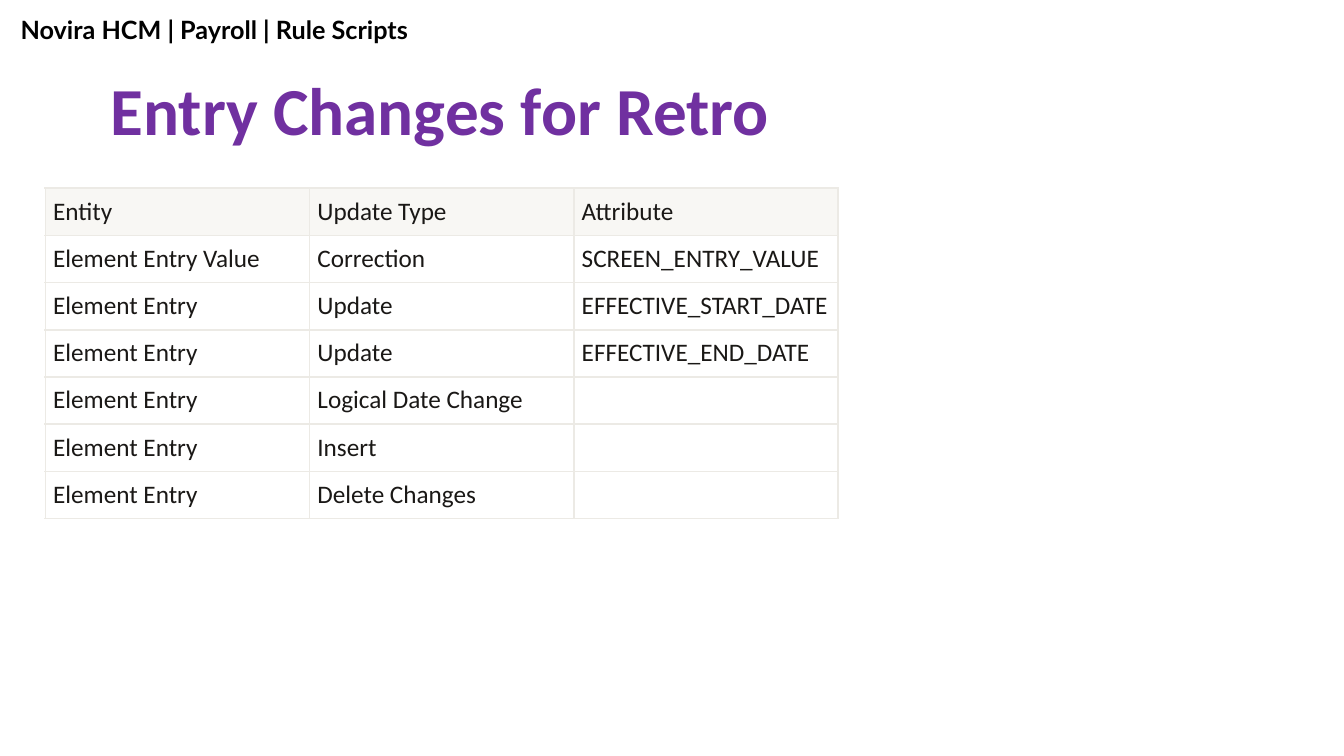
from lxml.etree import SubElement
from pptx import Presentation
from pptx.dml.color import RGBColor
from pptx.enum.text import MSO_ANCHOR as Anchor, PP_ALIGN as Align
from pptx.oxml.ns import qn
from pptx.util import Cm, Pt

BREADCRUMB = "Novira HCM | Payroll | Rule Scripts"
TITLE = "Entry Changes for Retro"
ROWS = [
    ("Entity", "Update Type", "Attribute"),
    ("Element Entry Value", "Correction", "SCREEN_ENTRY_VALUE"),
    ("Element Entry", "Update", "EFFECTIVE_START_DATE"),
    ("Element Entry", "Update", "EFFECTIVE_END_DATE"),
    ("Element Entry", "Logical Date Change", ""),
    ("Element Entry", "Insert", ""),
    ("Element Entry", "Delete Changes", ""),
]
COLORS = {
    "black": "000000",
    "purple": "7030A0",
    "text": "1A1816",
    "header": "F8F7F4",
    "body": "FFFFFF",
    "border": "ECEAE5",
}
COLUMN_WIDTH, ROW_HEIGHT = Cm(6.66), Cm(1.19)
CELL_MARGIN = Cm(0.2)
BORDER_WIDTH = Pt(1.2)


def add_text(frame, text, font, size, color, bold=False):
    paragraph = frame.paragraphs[0]
    paragraph.alignment = Align.LEFT
    run = paragraph.add_run()
    run.text = text
    run.font.name = font
    run.font.size = Pt(size)
    run.font.bold = bold
    run.font.color.rgb = RGBColor.from_string(COLORS[color])


def set_borders(cell):
    properties = cell._tc.get_or_add_tcPr()
    for position, side in enumerate(("a:lnL", "a:lnR", "a:lnT", "a:lnB")):
        line = SubElement(properties, qn(side), w=str(BORDER_WIDTH))
        fill = SubElement(line, qn("a:solidFill"))
        SubElement(fill, qn("a:srgbClr"), val=COLORS["border"])
        properties.insert(position, line)


presentation = Presentation()
presentation.slide_width, presentation.slide_height = Cm(33.87), Cm(19.05)
slide = presentation.slides.add_slide(presentation.slide_layouts[5])

# Title
title = slide.shapes.title
title.left, title.top, title.width, title.height = Cm(2.54), Cm(1.6), Cm(19.81), Cm(2.31)
title.text_frame.vertical_anchor = Anchor.TOP
title.text_frame.word_wrap = True
add_text(title.text_frame, TITLE, "Calibri", 48, "purple", bold=True)

# Breadcrumb above the title
breadcrumb = slide.shapes.add_textbox(Cm(0.27), Cm(0.24), Cm(17.12), Cm(1.02))
breadcrumb.text_frame.word_wrap = True
add_text(breadcrumb.text_frame, BREADCRUMB, "Lato", 18, "black", bold=True)

# Table of entry changes
row_count, column_count = len(ROWS), len(ROWS[0])
table = slide.shapes.add_table(
    row_count, column_count, Cm(1.14), Cm(4.74),
    COLUMN_WIDTH * column_count, ROW_HEIGHT * row_count,
).table
for row_index, values in enumerate(ROWS):
    is_header = row_index == 0
    for column_index, value in enumerate(values):
        cell = table.cell(row_index, column_index)
        cell.margin_left = cell.margin_right = CELL_MARGIN
        cell.margin_top = cell.margin_bottom = CELL_MARGIN
        cell.vertical_anchor = Anchor.BOTTOM if is_header else Anchor.TOP
        cell.fill.solid()
        cell.fill.fore_color.rgb = RGBColor.from_string(COLORS["header" if is_header else "body"])
        set_borders(cell)
        if value:
            add_text(cell.text_frame, value, "Calibri", 18, "text")

presentation.save("out.pptx")
